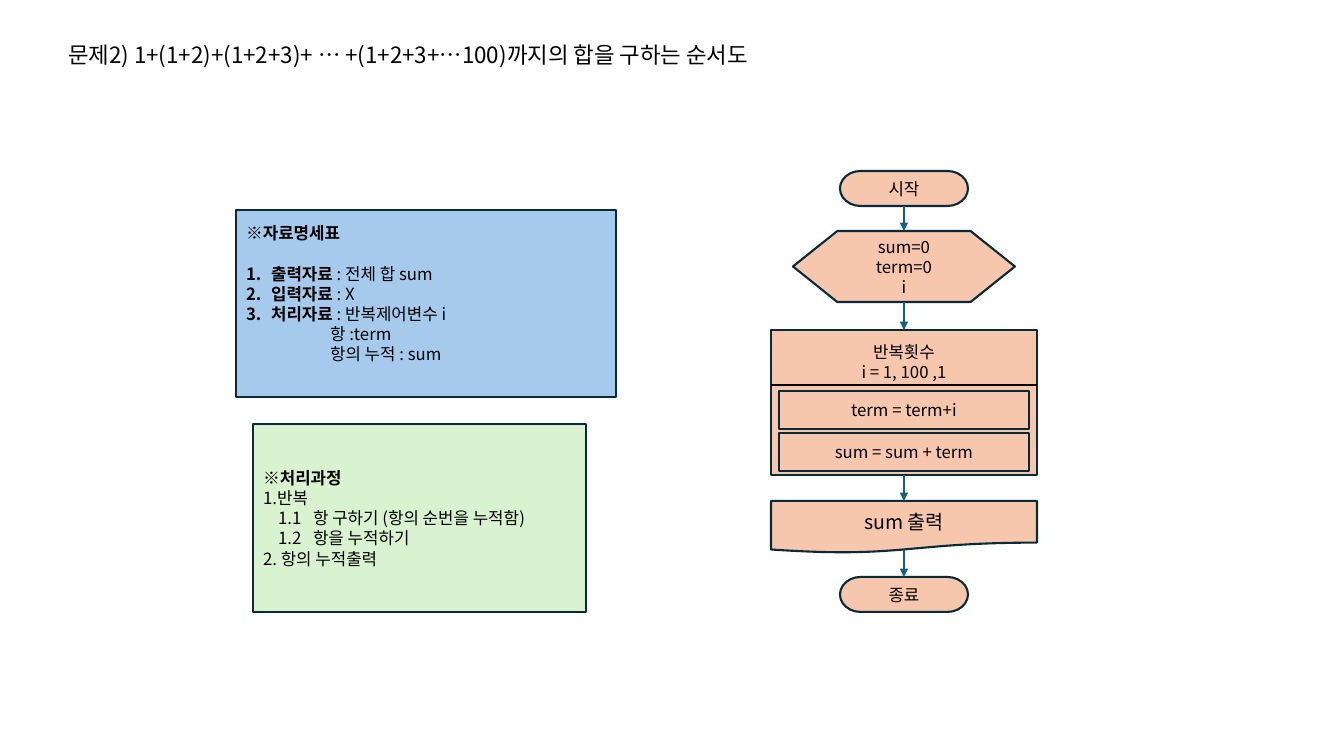
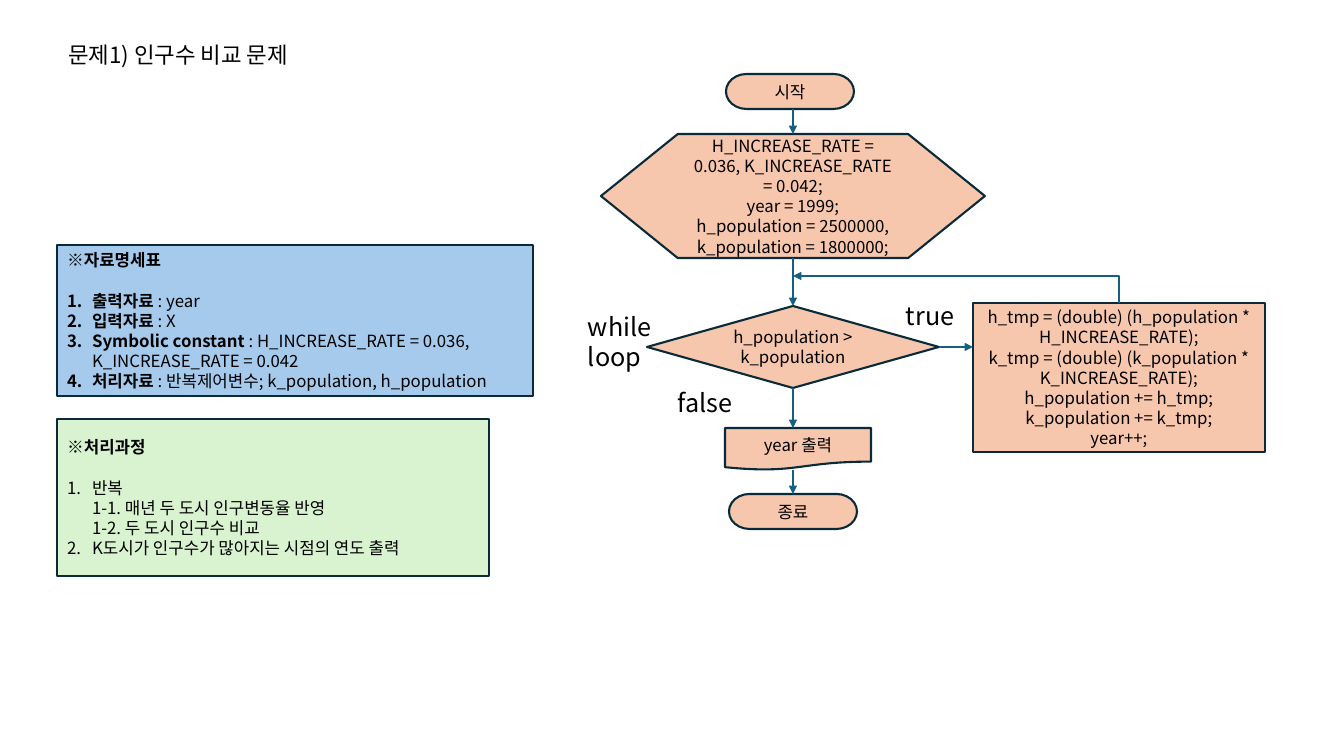
"""Build two flowchart slides with their data tables and process lists."""
from dataclasses import dataclass, field
from typing import Any, NamedTuple

from lxml import etree
from pptx import Presentation
from pptx.dml.color import RGBColor
from pptx.enum.shapes import MSO_CONNECTOR, MSO_SHAPE
from pptx.enum.text import MSO_ANCHOR, MSO_AUTO_SIZE, PP_ALIGN
from pptx.oxml.ns import qn
from pptx.util import Emu, Pt

WIDTH, HEIGHT = 1344, 756
EMU_PER_PX = 12192000 / WIDTH
FONT = "Noto Sans CJK KR"
COLORS = {
    "flow": "F6C6AD",
    "data": "A6CAEC",
    "process": "D9F2D0",
    "outline": "092A39",
    "arrow": "156082",
    "text": "000000",
}
TWO_CONTENT_LAYOUT = 3
TEXT_SIZE, TITLE_SIZE, LABEL_SIZE = 12, 16, 18
LINE_WIDTH = Pt(1.5)
HEADING_GAP = 14.4
HANGING = 25
TITLE_BOX = (58, 36, 1009, 37)
TERMINATOR_SIZE = (128, 35)
STEP_SIZE = (250, 38)

TERMINATOR = MSO_SHAPE.FLOWCHART_TERMINATOR
PREPARATION = MSO_SHAPE.FLOWCHART_PREPARATION
DECISION = MSO_SHAPE.FLOWCHART_DECISION
DOCUMENT = MSO_SHAPE.FLOWCHART_DOCUMENT
RECTANGLE = MSO_SHAPE.RECTANGLE
STRAIGHT, ELBOW = MSO_CONNECTOR.STRAIGHT, MSO_CONNECTOR.ELBOW
TOP, MIDDLE = MSO_ANCHOR.TOP, MSO_ANCHOR.MIDDLE
LEFT, CENTER = PP_ALIGN.LEFT, PP_ALIGN.CENTER
NO_AUTOFIT = MSO_AUTO_SIZE.NONE
SITE_TOP, SITE_BOTTOM, SITE_RIGHT = 0, 2, 3

Box = tuple[int, int, int, int]


class Point(NamedTuple):
    """A free connector end in px."""
    x: int
    y: int


class Joint(NamedTuple):
    """A connector end held by a side of a node."""
    node: str
    site: int


@dataclass(frozen=True)
class Item:
    """One list paragraph with a bold part and a plain part."""
    strong: str = ""
    plain: str = ""
    left: int = 0
    hanging: int = 0
    numbered: bool = False
    gap_after: float = 0


@dataclass(frozen=True)
class Panel:
    """A filled list box."""
    box: Box
    fill: str
    items: list[Item]
    margin_bottom: int = 5


@dataclass(frozen=True)
class Node:
    """One flowchart symbol."""
    name: str
    symbol: Any
    box: Box
    lines: list[str]
    fill: str | None = "flow"
    size: int = TEXT_SIZE
    margin_top: int | None = None


@dataclass(frozen=True)
class Link:
    """One connector of the flowchart."""
    begin: Point | Joint
    end: Point | Joint
    color: str = "arrow"
    arrow: str | None = "tailEnd"
    kind: Any = STRAIGHT


@dataclass(frozen=True)
class Label:
    """A free caption beside the flowchart."""
    text: str
    box: Box


@dataclass(frozen=True)
class FlowSlide:
    """All content of one slide."""
    title: str
    panels: list[Panel]
    nodes: list[Node]
    links: list[Link]
    labels: list[Label] = field(default_factory=list)


def px(length: float) -> Emu:
    """Turn px into EMU."""
    return Emu(round(length * EMU_PER_PX))


def rgb(name: str) -> RGBColor:
    """Look up a named colour."""
    return RGBColor.from_string(COLORS[name])


def apply(target: Any, values: dict[str, Any]) -> None:
    """Set every attribute listed in values."""
    for attribute, value in values.items():
        setattr(target, attribute, value)


def place(shape: Any, box: Box) -> None:
    """Move and size a shape."""
    apply(shape, dict(zip(("left", "top", "width", "height"), map(px, box))))


def write(paragraph: Any, text: str, size: int = TEXT_SIZE, bold: bool = False) -> None:
    """Add formatted text, with line breaks at newlines."""
    for index, part in enumerate(text.split("\n")):
        if index:
            paragraph.add_line_break()
            line_break = paragraph._p.findall(qn("a:br"))[-1]
            etree.SubElement(line_break, qn("a:rPr"), sz=str(size * 100))
        run = paragraph.add_run()
        apply(run, {"text": part})
        apply(run.font, {"size": Pt(size), "bold": bold, "name": FONT})
        run.font.color.rgb = rgb("text")
        etree.SubElement(run._r.get_or_add_rPr(), qn("a:ea"), typeface=FONT)


def write_lines(frame: Any, lines: list[str], size: int, align: Any) -> None:
    """Write one paragraph for each line."""
    for index, line in enumerate(lines):
        paragraph = frame.add_paragraph() if index else frame.paragraphs[0]
        apply(paragraph, {"alignment": align})
        write(paragraph, line, size)


def paint(shape: Any, fill: str | None) -> None:
    """Give a shape its fill and the shared outline."""
    if fill:
        shape.fill.solid()
        shape.fill.fore_color.rgb = rgb(fill)
    else:
        shape.fill.background()
    shape.line.color.rgb = rgb("outline")
    shape.line.width = LINE_WIDTH


def draw_title(slide: Any, text: str) -> None:
    """Write the slide title."""
    title = slide.shapes.title
    place(title, TITLE_BOX)
    apply(title.text_frame, {"vertical_anchor": TOP, "auto_size": NO_AUTOFIT, "word_wrap": True})
    write_lines(title.text_frame, [text], TITLE_SIZE, LEFT)


def draw_panel(body: Any, panel: Panel) -> None:
    """Fill a body placeholder with a list."""
    place(body, panel.box)
    paint(body, panel.fill)
    frame = body.text_frame
    apply(frame, {"vertical_anchor": MIDDLE, "auto_size": NO_AUTOFIT, "word_wrap": True,
                  "margin_bottom": px(panel.margin_bottom)})
    for index, item in enumerate(panel.items):
        paragraph = frame.add_paragraph() if index else frame.paragraphs[0]
        apply(paragraph, {"alignment": LEFT, "space_before": Pt(0),
                          "space_after": Pt(item.gap_after)})
        properties = paragraph._p.get_or_add_pPr()
        properties.set("marL", str(px(item.left)))
        properties.set("indent", str(px(-item.hanging)))
        if item.numbered:
            etree.SubElement(properties, qn("a:buFont"), typeface="+mj-lt")
            etree.SubElement(properties, qn("a:buAutoNum"), type="arabicPeriod")
        else:
            etree.SubElement(properties, qn("a:buNone"))
        for text, bold in ((item.strong, True), (item.plain, False)):
            if text:
                write(paragraph, text, bold=bold)


def draw_node(slide: Any, node: Node) -> Any:
    """Draw one flowchart symbol."""
    symbol = slide.shapes.add_shape(node.symbol, *map(px, node.box))
    symbol.shadow.inherit = False
    paint(symbol, node.fill)
    if node.margin_top is not None:
        apply(symbol.text_frame, {"vertical_anchor": TOP, "margin_top": px(node.margin_top)})
    write_lines(symbol.text_frame, node.lines, node.size, CENTER)
    return symbol


def draw_link(slide: Any, link: Link, symbols: dict[str, Any]) -> None:
    """Draw one connector and join it to its nodes."""
    free = [end for end in (link.begin, link.end) if isinstance(end, Point)] or [Point(0, 0)]
    connector = slide.shapes.add_connector(link.kind, *map(px, (*free[0], *free[-1])))
    for end, join in ((link.begin, connector.begin_connect), (link.end, connector.end_connect)):
        if isinstance(end, Joint):
            join(symbols[end.node], end.site)
    connector.line.color.rgb = rgb(link.color)
    connector.line.width = LINE_WIDTH
    properties = connector._element.spPr
    if link.kind == ELBOW:
        properties.find(qn("a:prstGeom")).set("prst", "bentConnector2")
    if link.arrow:
        etree.SubElement(properties.find(qn("a:ln")), qn(f"a:{link.arrow}"), type="triangle")
    etree.SubElement(properties, qn("a:effectLst"))


def draw_label(slide: Any, label: Label) -> None:
    """Draw one caption."""
    caption = slide.shapes.add_textbox(*map(px, label.box))
    caption.text_frame.word_wrap = True
    write_lines(caption.text_frame, [label.text], LABEL_SIZE, LEFT)


def numbered(strong: str, plain: str) -> Item:
    """Make an automatically numbered item."""
    return Item(strong, plain, HANGING, HANGING, True)


SUM_SLIDE = FlowSlide(
    "문제2) 1+(1+2)+(1+2+3)+ … +(1+2+3+…100)까지의 합을 구하는 순서도",
    [Panel((236, 210, 380, 187), "data", [
        Item("※자료명세표", gap_after=HEADING_GAP),
        numbered("출력자료 ", ": 전체 합 sum"),
        numbered("입력자료 ", ": X"),
        numbered("처리자료 ", ": 반복제어변수 i"),
        Item(plain="항 :term", left=84),
        Item(plain="항의 누적 : sum", left=84)], 25),
     Panel((253, 424, 333, 188), "process", [
         Item("※처리과정"),
         Item(plain="1.반복"),
         Item(plain="1.1\t항 구하기 (항의 순번을 누적함)", left=50, hanging=35),
         Item(plain="1.2\t항을 누적하기", left=50, hanging=35),
         Item(plain="2. 항의 누적출력")])],
    [Node("start", TERMINATOR, (840, 171, *TERMINATOR_SIZE), ["시작"]),
     Node("setup", PREPARATION, (793, 231, 222, 71), ["sum=0", "term=0", "i"]),
     Node("loop", RECTANGLE, (771, 330, 266, 145), ["반복횟수", "i = 1, 100 ,1"], margin_top=12),
     Node("term", RECTANGLE, (779, 391, *STEP_SIZE), ["term = term+i"], None),
     Node("sum", RECTANGLE, (779, 433, *STEP_SIZE), ["sum = sum + term"], None),
     Node("output", DOCUMENT, (771, 501, 266, 52), ["sum 출력"], size=14),
     Node("end", TERMINATOR, (840, 577, *TERMINATOR_SIZE), ["종료"])],
    [Link(Joint("start", SITE_BOTTOM), Joint("setup", SITE_TOP)),
     Link(Joint("setup", SITE_BOTTOM), Joint("loop", SITE_TOP)),
     Link(Point(771, 385), Point(1037, 385), "text", None),
     Link(Joint("loop", SITE_BOTTOM), Joint("output", SITE_TOP)),
     Link(Point(904, 550), Joint("end", SITE_TOP))])

POPULATION_SLIDE = FlowSlide(
    "문제1) 인구수 비교 문제",
    [Panel((57, 245, 476, 151), "data", [
        Item("※자료명세표", gap_after=HEADING_GAP),
        numbered("출력자료 ", ": year"),
        numbered("입력자료 ", ": X"),
        numbered("Symbolic constant ", ": H_INCREASE_RATE = 0.036, K_INCREASE_RATE = 0.042"),
        numbered("처리자료 ", ": 반복제어변수; k_population, h_population")]),
     Panel((57, 419, 432, 157), "process", [
         Item("※처리과정", gap_after=HEADING_GAP),
         numbered("", "반복\n1-1. 매년 두 도시 인구변동율 반영\n1-2. 두 도시 인구수 비교"),
         numbered("", "K도시가 인구수가 많아지는 시점의 연도 출력")])],
    [Node("start", TERMINATOR, (726, 74, *TERMINATOR_SIZE), ["시작"]),
     Node("setup", PREPARATION, (601, 134, 384, 124), [
         "H_INCREASE_RATE = 0.036, K_INCREASE_RATE = 0.042;", "year = 1999;",
         "h_population = 2500000, k_population = 1800000;"]),
     Node("growth", RECTANGLE, (973, 303, 292, 149), [
         "h_tmp = (double) (h_population * H_INCREASE_RATE);",
         "k_tmp = (double) (k_population * K_INCREASE_RATE);",
         "h_population += h_tmp;", "k_population += k_tmp;", "year++;"]),
     Node("output", DOCUMENT, (725, 428, 146, 42), ["year 출력"]),
     Node("end", TERMINATOR, (729, 494, *TERMINATOR_SIZE), ["종료"]),
     Node("compare", DECISION, (647, 306, 292, 82), ["h_population > k_population"])],
    [Link(Point(793, 109), Joint("setup", SITE_TOP)),
     Link(Joint("setup", SITE_BOTTOM), Joint("compare", SITE_TOP)),
     Link(Joint("compare", SITE_BOTTOM), Point(793, 428)),
     Link(Point(793, 470), Joint("end", SITE_TOP)),
     Link(Joint("compare", SITE_RIGHT), Point(973, 347)),
     Link(Point(793, 276), Joint("growth", SITE_TOP), arrow="headEnd", kind=ELBOW)],
    [Label("true", (896, 295, 96, 40)),
     Label("false", (668, 382, 96, 40)),
     Label("while loop", (578, 306, 96, 71))])


def main() -> None:
    """Build and save the presentation."""
    deck = Presentation()
    apply(deck, {"slide_width": px(WIDTH), "slide_height": px(HEIGHT)})
    for content in (SUM_SLIDE, POPULATION_SLIDE):
        slide = deck.slides.add_slide(deck.slide_layouts[TWO_CONTENT_LAYOUT])
        draw_title(slide, content.title)
        for index, panel in enumerate(content.panels, 1):
            draw_panel(slide.placeholders[index], panel)
        symbols = {node.name: draw_node(slide, node) for node in content.nodes}
        for link in content.links:
            draw_link(slide, link, symbols)
        for label in content.labels:
            draw_label(slide, label)
    deck.save("out.pptx")


if __name__ == "__main__":
    main()
